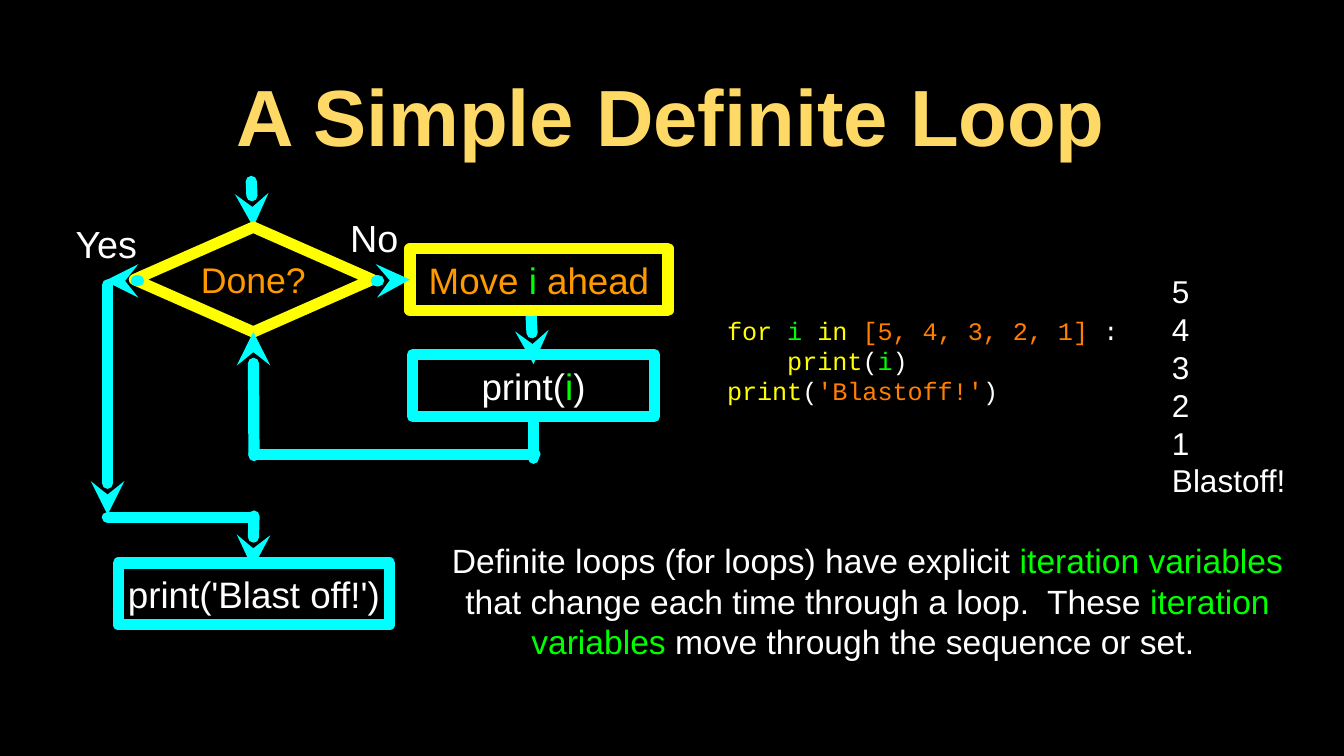
from lxml import etree
from pptx import Presentation
from pptx.dml.color import RGBColor
from pptx.enum.shapes import MSO_CONNECTOR, MSO_SHAPE
from pptx.enum.text import MSO_ANCHOR, PP_ALIGN
from pptx.oxml.ns import qn
from pptx.util import Inches, Pt

BLACK = RGBColor(0x00, 0x00, 0x00)
WHITE = RGBColor(0xFF, 0xFF, 0xFF)
YELLOW = RGBColor(0xFF, 0xFF, 0x00)
GREEN = RGBColor(0x00, 0xFF, 0x00)
CYAN = RGBColor(0x00, 0xFF, 0xFF)
AMBER = RGBColor(0xFF, 0x99, 0x00)
ORANGE = RGBColor(0xFF, 0x7F, 0x00)
GOLD = RGBColor(0xFF, 0xD9, 0x66)

TOP, LEFT, BOTTOM = 0, 1, 2


def write_text(shape, paragraphs, size, font="Arial", bold=False,
               align=PP_ALIGN.CENTER, inset=0):
    """Fill a shape with paragraphs, each a list of (text, colour) runs."""
    frame = shape.text_frame
    frame.word_wrap = True
    frame.vertical_anchor = MSO_ANCHOR.MIDDLE
    frame.margin_left = frame.margin_right = Inches(inset)
    frame.margin_top = frame.margin_bottom = Inches(inset)
    for index, runs in enumerate(paragraphs):
        paragraph = frame.paragraphs[0] if index == 0 else frame.add_paragraph()
        paragraph.alignment = align
        for text, colour in runs:
            run = paragraph.add_run()
            run.text = text
            run.font.size = Pt(size)
            run.font.name = font
            run.font.bold = bold
            run.font.color.rgb = colour


class SlideBuilder:
    """Holds the line style and the current slide."""

    line_width = Pt(6)

    def __init__(self, presentation):
        self.slide = presentation.slides.add_slide(presentation.slide_layouts[6])
        self.slide.background.fill.solid()
        self.slide.background.fill.fore_color.rgb = BLACK

    def style_line(self, line, colour, arrow=False):
        line.color.rgb = colour
        line.width = self.line_width
        properties = line._get_or_add_ln()
        properties.set("cap", "rnd")
        etree.SubElement(properties, qn("a:round"))
        if arrow:
            etree.SubElement(properties, qn("a:tailEnd"), type="stealth")

    def text(self, box, paragraphs, size, **style):
        shape = self.slide.shapes.add_textbox(*map(Inches, box))
        write_text(shape, paragraphs, size, **style)

    def node(self, kind, box, colour, runs, size=19.7):
        shape = self.slide.shapes.add_shape(kind, *map(Inches, box))
        shape.shadow.inherit = False
        shape.fill.background()
        self.style_line(shape.line, colour)
        write_text(shape, [runs], size)
        return shape

    def line(self, start, end, arrow=True):
        connector = self.slide.shapes.add_connector(
            MSO_CONNECTOR.STRAIGHT, *map(Inches, start + end))
        self.style_line(connector.line, CYAN, arrow)
        etree.SubElement(connector._element.spPr, qn("a:effectLst"))
        return connector


def main():
    presentation = Presentation()
    presentation.slide_width = Inches(10)
    presentation.slide_height = Inches(10) * 9 // 16
    builder = SlideBuilder(presentation)

    # Title
    builder.text((0.71, 0.5, 8.57, 0.7), [[("A Simple Definite Loop", GOLD)]],
                 42.7, bold=True, inset=0.02)

    # Program and its output
    code = [
        [("for ", YELLOW), ("i ", GREEN), ("in ", YELLOW),
         ("[5, 4, 3, 2, 1] ", ORANGE), (":", WHITE)],
        [("    ", WHITE), ("print", YELLOW), ("(", WHITE), ("i", GREEN), (")", WHITE)],
        [("print", YELLOW), ("(", WHITE), ("'Blastoff!'", ORANGE), (")", WHITE)],
    ]
    builder.text((5.41, 2.17, 3.14, 1.02), code, 13.5, font="Courier New",
                 align=PP_ALIGN.LEFT)
    output = [[(word, WHITE)] for word in ("5", "4", "3", "2", "1", "Blastoff!")]
    builder.text((8.72, 1.88, 1.02, 1.98), output, 16.9, align=PP_ALIGN.LEFT)

    # Loop test
    entry = builder.line((1.87, 1.35), (1.88, 1.69))
    test = builder.node(MSO_SHAPE.DIAMOND, (1, 1.69, 1.77, 0.78), YELLOW,
                        [("Done?", AMBER)], size=19.1)

    # Loop body and way back to the test
    loop_back = builder.line((1.89, 3.39), (1.88, 2.47))
    builder.line((3.95, 2.31), (3.97, 2.71))
    body_exit = builder.line((3.97, 3.1), (3.97, 3.41), arrow=False)
    builder.line((1.89, 3.38), (3.98, 3.38), arrow=False)

    # Way out of the loop
    builder.line((1.03, 2.09), (0.78, 2.09))
    builder.line((1.89, 3.84), (1.88, 4.23))
    builder.line((0.8, 2.12), (0.8, 3.83))
    builder.line((0.8, 3.85), (1.88, 3.85), arrow=False)

    # Branch labels and steps
    builder.text((0.43, 1.62, 0.72, 0.38), [[("Yes", WHITE)]], 20.2)
    builder.node(MSO_SHAPE.RECTANGLE, (0.88, 4.19, 2.02, 0.46), CYAN,
                 [("print('Blast off!')", WHITE)])
    body = builder.node(MSO_SHAPE.RECTANGLE, (3.07, 2.64, 1.8, 0.46), CYAN,
                        [("print(", WHITE), ("i", GREEN), (")", WHITE)])
    builder.text((2.56, 1.58, 0.45, 0.38), [[("No", WHITE)]], 20.2)
    advance = builder.node(MSO_SHAPE.RECTANGLE, (3.05, 1.85, 1.92, 0.46), YELLOW,
                           [("Move ", AMBER), ("i", GREEN), (" ahead", AMBER)])

    # Explanation
    explanation = [
        ("Definite loops (for loops) have explicit ", WHITE),
        ("iteration variables ", GREEN),
        ("that change each time through a loop.  These ", WHITE),
        ("iteration variables", GREEN),
        (" move through the sequence or set. ", WHITE),
    ]
    builder.text((3.34, 3.96, 6.23, 1.02), [explanation], 18)

    # Join the lines that meet the middle of a side
    continue_arrow = builder.line((2.8, 2.09), (3.05, 2.09))
    entry.end_connect(test, TOP)
    loop_back.end_connect(test, BOTTOM)
    body_exit.begin_connect(body, BOTTOM)
    continue_arrow.end_connect(advance, LEFT)

    presentation.save("out.pptx")


if __name__ == "__main__":
    main()
